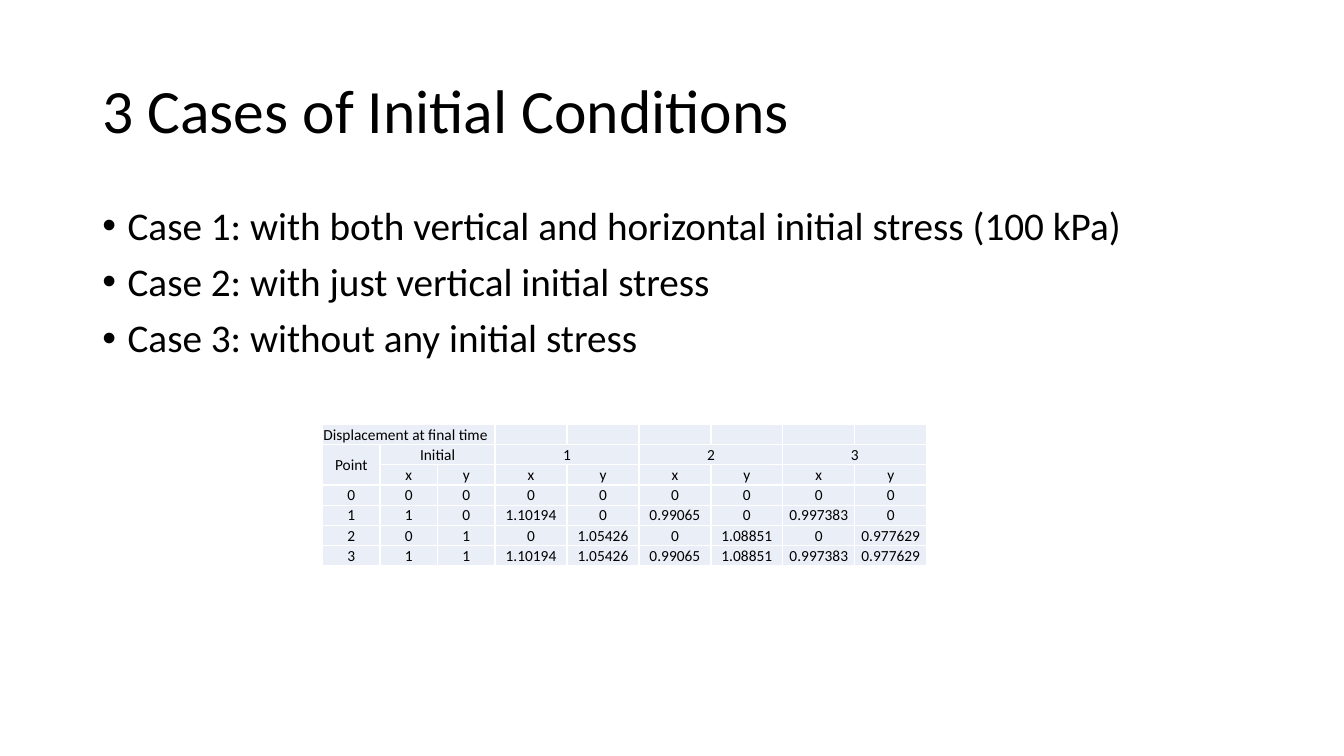
from dataclasses import dataclass

from lxml.etree import SubElement
from pptx import Presentation
from pptx.dml.color import RGBColor
from pptx.enum.text import MSO_ANCHOR, PP_ALIGN
from pptx.oxml.ns import qn
from pptx.util import Pt


@dataclass(frozen=True)
class Theme:
    font: str = "Calibri"
    text: str = "000000"
    cell: str = "EAEFF7"
    border: str = "FFFFFF"
    title_size: int = 44
    body_size: int = 28
    table_size: int = 11


THEME = Theme()


def set_font(p, size):
    p.font.name = THEME.font
    p.font.size = Pt(size)
    p.font.color.rgb = RGBColor.from_string(THEME.text)


def add_borders(cell):
    tcPr = cell._tc.get_or_add_tcPr()
    for side in ("lnL", "lnR", "lnT", "lnB"):
        ln = SubElement(tcPr, qn(f"a:{side}"), w=str(Pt(1)))
        fill = SubElement(ln, qn("a:solidFill"))
        SubElement(fill, qn("a:srgbClr"), val=THEME.border)


prs = Presentation()
prs.slide_width, prs.slide_height = Pt(960), Pt(540)
slide = prs.slides.add_slide(prs.slide_layouts[1])

# Title
title = slide.shapes.title
title.left, title.top, title.width, title.height = Pt(66), Pt(28.75), Pt(828), Pt(104.4)
tf = title.text_frame
tf.text = "3 Cases of Initial Conditions"
tf.vertical_anchor = MSO_ANCHOR.MIDDLE
p = tf.paragraphs[0]
p.alignment = PP_ALIGN.LEFT
p.line_spacing = 0.9
set_font(p, THEME.title_size)

# Case list
body = slide.placeholders[1]
body.left, body.top, body.width, body.height = Pt(66), Pt(143.75), Pt(828), Pt(342.6)
tf = body.text_frame
tf.text = "\n".join([
    "Case 1: with both vertical and horizontal initial stress (100 kPa)",
    "Case 2: with just vertical initial stress",
    "Case 3: without any initial stress",
])
for p in tf.paragraphs:
    p.line_spacing = 0.9
    p.space_before = Pt(10)
    set_font(p, THEME.body_size)
    pPr = p._p.get_or_add_pPr()
    pPr.set("marL", str(Pt(18)))
    pPr.set("indent", str(-Pt(18)))

# Displacement table
ROWS = [
    ["Displacement at final time"] + [""] * 8,
    ["Point", "Initial", "", "1", "", "2", "", "3", ""],
    [""] + ["x", "y"] * 4,
    ["0"] * 9,
    ["1", "1", "0", "1.10194", "0", "0.99065", "0", "0.997383", "0"],
    ["2", "0", "1", "0", "1.05426", "0", "1.08851", "0", "0.977629"],
    ["3", "1", "1", "1.10194", "1.05426", "0.99065", "1.08851", "0.997383", "0.977629"],
]
COL_WIDTHS = [41.1] * 3 + [51.4] * 6
ROW_HEIGHT = 14.4

frame = slide.shapes.add_table(
    len(ROWS), len(COL_WIDTHS), Pt(230.4), Pt(303.2),
    Pt(sum(COL_WIDTHS)), Pt(ROW_HEIGHT * len(ROWS)))
table = frame.table
table.first_row = table.horz_banding = False
for col, width in zip(table.columns, COL_WIDTHS):
    col.width = Pt(width)

for i, values in enumerate(ROWS):
    table.rows[i].height = Pt(ROW_HEIGHT)
    for j, value in enumerate(values):
        cell = table.cell(i, j)
        cell.margin_left = cell.margin_right = cell.margin_top = Pt(0.6)
        cell.margin_bottom = 0
        cell.vertical_anchor = MSO_ANCHOR.MIDDLE if i else MSO_ANCHOR.BOTTOM
        add_borders(cell)
        cell.fill.solid()
        cell.fill.fore_color.rgb = RGBColor.from_string(THEME.cell)
        p = cell.text_frame.paragraphs[0]
        p.alignment = PP_ALIGN.CENTER if i else PP_ALIGN.LEFT
        set_font(p, THEME.table_size)
        if value:
            p.text = value
        else:
            # Empty cells need the small size too, or they stretch their row
            SubElement(p._p, qn("a:endParaRPr"), sz=str(THEME.table_size * 100))

table.cell(0, 0).merge(table.cell(0, 2))
table.cell(1, 0).merge(table.cell(2, 0))
for j in range(1, len(COL_WIDTHS), 2):
    table.cell(1, j).merge(table.cell(1, j + 1))

prs.save("out.pptx")
